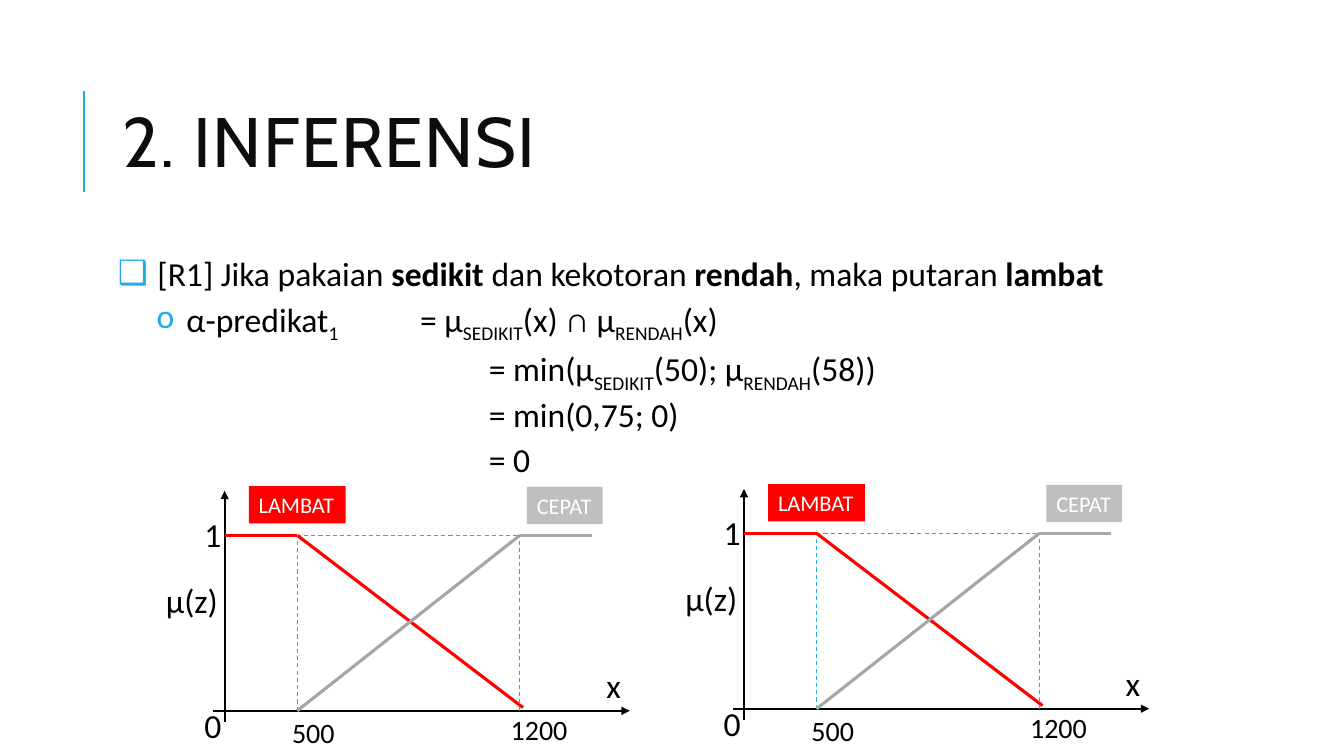
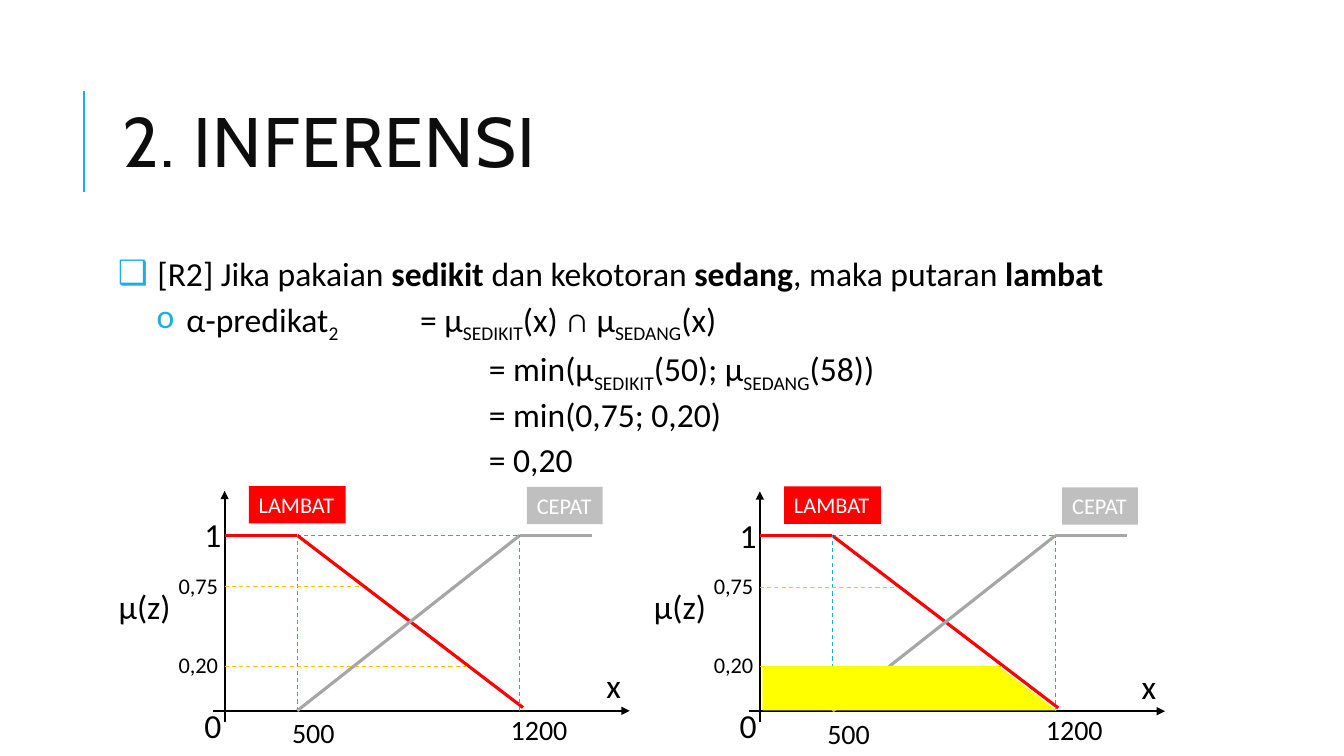
"""Build two slides on fuzzy inference with rule text and membership plots."""
from dataclasses import dataclass

from pptx import Presentation
from pptx import util as u
from pptx.dml.color import RGBColor
from pptx.enum import dml, shapes, text
from pptx.oxml.ns import qn
from pptx.oxml.xmlchemy import OxmlElement


@dataclass(frozen=True)
class Theme:
    accent: str = "1CADE4"
    title: str = "0D0D0D"
    ink: str = "000000"
    slow: str = "FF0000"
    fast: str = "A6A6A6"
    fast_tag: str = "BFBFBF"
    level: str = "FFC000"
    area: str = "FFFF00"
    white: str = "FFFFFF"
    head_font: str = "Cabin"
    body_font: str = "Calibri"
    title_size: int = 50
    body_size: int = 24
    tick_size: int = 20
    tag_size: int = 16


T = Theme()
TITLE = "2. INFERENSI"

SLIDES = [
    {
        "rule": "[R1] Jika pakaian |sedikit| dan kekotoran |rendah|, maka putaran |lambat",
        "steps": [
            "α-predikat|1|\t= μ|SEDIKIT|(x) ∩ μ|RENDAH|(x)",
            "= min(μ|SEDIKIT|(50); μ|RENDAH|(58))",
            "= min(0,75; 0)",
            "= 0",
        ],
        "origins": [(5.66, 17.91), (18.75, 17.86)],
        "mu": (-1.73, -3.43),
        "levels": [],
    },
    {
        "rule": "[R2] Jika pakaian |sedikit| dan kekotoran |sedang|, maka putaran |lambat",
        "steps": [
            "α-predikat|2|\t= μ|SEDIKIT|(x) ∩ μ|SEDANG|(x)",
            "= min(μ|SEDIKIT|(50); μ|SEDANG|(58))",
            "= min(0,75; 0,20)",
            "= 0,20",
        ],
        "origins": [(5.66, 17.91), (19.15, 17.92)],
        "mu": (-2.92, -3.28),
        "levels": [("0,75", -3.12, 3.4), ("0,20", -1.12, 6.1)],
    },
]

X_SLOW, X_FAST, X_END, Y_ONE = 1.83, 7.44, 9.26, -4.42
DASH = (T.accent, 0.75, True, False)
AXIS = (T.ink, 1.5, False, True)
SLOW = (T.slow, 2.25, False, False)
FAST = (T.fast, 2.25, False, False)
LEVEL = (T.level, 0.75, True, False)

PLOT_LINES = [
    ((0, Y_ONE), (X_END, Y_ONE), DASH),
    ((0, 0.28), (0, -5.54), AXIS),
    ((-0.28, 0), (10.21, 0), AXIS),
    ((X_SLOW, Y_ONE), (7.52, -0.08), SLOW),
    ((X_SLOW, 0), (X_SLOW, Y_ONE), DASH),
    ((0, Y_ONE), (X_SLOW, Y_ONE), SLOW),
    ((X_SLOW, 0), (X_FAST, Y_ONE), FAST),
    ((X_FAST, 0), (X_FAST, Y_ONE), DASH),
    ((X_FAST, Y_ONE), (X_END, Y_ONE), FAST),
]
PLOT_LABELS = [
    ("500", (1.45, 0), (1.63, 1.14), T.tick_size),
    ("1200", (6.96, -0.08), (2.01, 1.14), T.tick_size),
    ("x", (9.37, -1.27), (0.76, 1.12), T.body_size),
    ("0", (-0.76, -0.28), (0.81, 1.12), T.body_size),
    ("1", (-0.76, -5.08), (0.84, 1.14), T.body_size),
]
PLOT_TAGS = [
    ("LAMBAT", (0.61, -5.66), (2.44, 0.94), T.slow),
    ("CEPAT", (7.62, -5.64), (1.91, 0.94), T.fast_tag),
]


def rgb(value):
    return RGBColor.from_string(value)


def apply(target, **values):
    for name, value in values.items():
        setattr(target, name, value)


def add_run(p, words, size, color, font=T.body_font, bold=False):
    r = p.add_run()
    r.text = words
    apply(r.font, size=u.Pt(size), name=font, bold=bold)
    r.font.color.rgb = rgb(color)
    return r


def add_box(parent, at, size):
    return parent.add_textbox(*map(u.Cm, at + size))


def add_line(parent, start, end, style):
    color, width, dashed, arrow = style
    c = parent.add_connector(shapes.MSO_CONNECTOR.STRAIGHT, *map(u.Cm, start + end))
    c.line.color.rgb = rgb(color)
    c.line.width = u.Pt(width)
    if dashed:
        c.line.dash_style = dml.MSO_LINE.DASH
    sp_pr = c._element.spPr
    if arrow:
        tail = OxmlElement("a:tailEnd")
        tail.set("type", "triangle")
        sp_pr.find(qn("a:ln")).append(tail)
    sp_pr.append(OxmlElement("a:effectLst"))


def add_block(parent, shape, at, size, color):
    sp = parent.add_shape(shape, *map(u.Cm, at + size))
    sp.shadow.inherit = False
    sp.fill.solid()
    sp.fill.fore_color.rgb = rgb(color)
    sp.line.fill.background()
    return sp


def set_label(sp, words, size, color=T.ink):
    tf = sp.text_frame
    apply(tf, word_wrap=False, auto_size=text.MSO_AUTO_SIZE.SHAPE_TO_FIT_TEXT,
          vertical_anchor=text.MSO_ANCHOR.TOP)
    p = tf.paragraphs[0]
    p.alignment = text.PP_ALIGN.LEFT
    add_run(p, words, size, color)


def set_indent(p, left, first, bullet):
    ppr = p._p.get_or_add_pPr()
    for name, value in (("marL", left), ("indent", first), ("defTabSz", 2.54)):
        ppr.set(name, str(int(u.Cm(value))))
    if bullet:
        clr = OxmlElement("a:buClr")
        tint = OxmlElement("a:srgbClr")
        tint.set("val", T.accent)
        clr.append(tint)
        ppr.append(clr)
        for tag, name, value in (("a:buFont", "typeface", T.body_font),
                                 ("a:buChar", "char", bullet)):
            item = OxmlElement(tag)
            item.set(name, value)
            ppr.append(item)


def add_heading(s):
    add_line(s.shapes, (2.12, 4.83), (2.12, 2.29), (T.accent, 1.5, False, False))
    tf = add_box(s.shapes, (2.84, 1.63), (27, 4.17)).text_frame
    apply(tf, word_wrap=True, vertical_anchor=text.MSO_ANCHOR.MIDDLE)
    p = tf.paragraphs[0]
    p.line_spacing = 0.8
    r = add_run(p, TITLE, T.title_size, T.title, T.head_font)
    r._r.get_or_add_rPr().set("spc", "100")


def add_rule(s, rule, steps):
    tf = add_box(s.shapes, (2.84, 6.35), (27, 5.9)).text_frame
    margin = u.Cm(0.13)
    apply(tf, word_wrap=True, margin_left=margin, margin_right=margin,
          margin_top=margin, margin_bottom=margin)
    indents = [(1, -1, "❑"), (1.73, -0.75, "o")] + [(9.35, 0, None)] * (len(steps) - 1)
    for i, (line, indent) in enumerate(zip([rule] + steps, indents)):
        p = tf.add_paragraph() if i else tf.paragraphs[0]
        set_indent(p, *indent)
        apply(p, alignment=text.PP_ALIGN.JUSTIFY, line_spacing=0.9,
              space_before=u.Pt(2 if i else 0), space_after=u.Pt(4 if i else 2))
        for k, words in enumerate(line.split("|")):
            marked = k % 2 == 1
            r = add_run(p, words, T.body_size, T.ink, bold=marked and i == 0)
            if marked and i:
                r._r.get_or_add_rPr().set("baseline", "-25000")


def add_plot(s, origin, mu, levels, shaded):
    g = s.shapes.add_group_shape().shapes

    def place(point):
        return origin[0] + point[0], origin[1] + point[1]

    for start, end, style in PLOT_LINES:
        add_line(g, place(start), place(end), style)
    for words, at, size, points in PLOT_LABELS + [("μ(z)", mu, (1.85, 1.27), T.body_size)]:
        set_label(add_box(g, place(at), size), words, points)
    for words, at, size, color in PLOT_TAGS:
        tag = add_block(g, shapes.MSO_SHAPE.RECTANGLE, place(at), size, color)
        set_label(tag, words, T.tag_size, T.white)
    for words, y, x_end in levels:
        set_label(add_box(g, place((-1.41, y - 0.51)), (1.52, 0.94)), words, T.tag_size)
        add_line(g, place((0, y)), place((x_end, y)), LEVEL)
    if shaded:
        width, height = 7.42, 1.12
        at = place((0.06 + (width - height) / 2, -0.02 - (width + height) / 2))
        area = add_block(g, shapes.MSO_SHAPE.FLOWCHART_MANUAL_INPUT, at, (height, width), T.area)
        area.rotation = 90


def main():
    prs = Presentation()
    apply(prs, slide_width=u.Cm(33.87), slide_height=u.Cm(19.05))
    for data in SLIDES:
        s = prs.slides.add_slide(prs.slide_layouts[6])
        add_heading(s)
        add_rule(s, data["rule"], data["steps"])
        for i, origin in enumerate(data["origins"]):
            add_plot(s, origin, data["mu"], data["levels"], i == 1 and bool(data["levels"]))
    prs.save("out.pptx")


if __name__ == "__main__":
    main()
